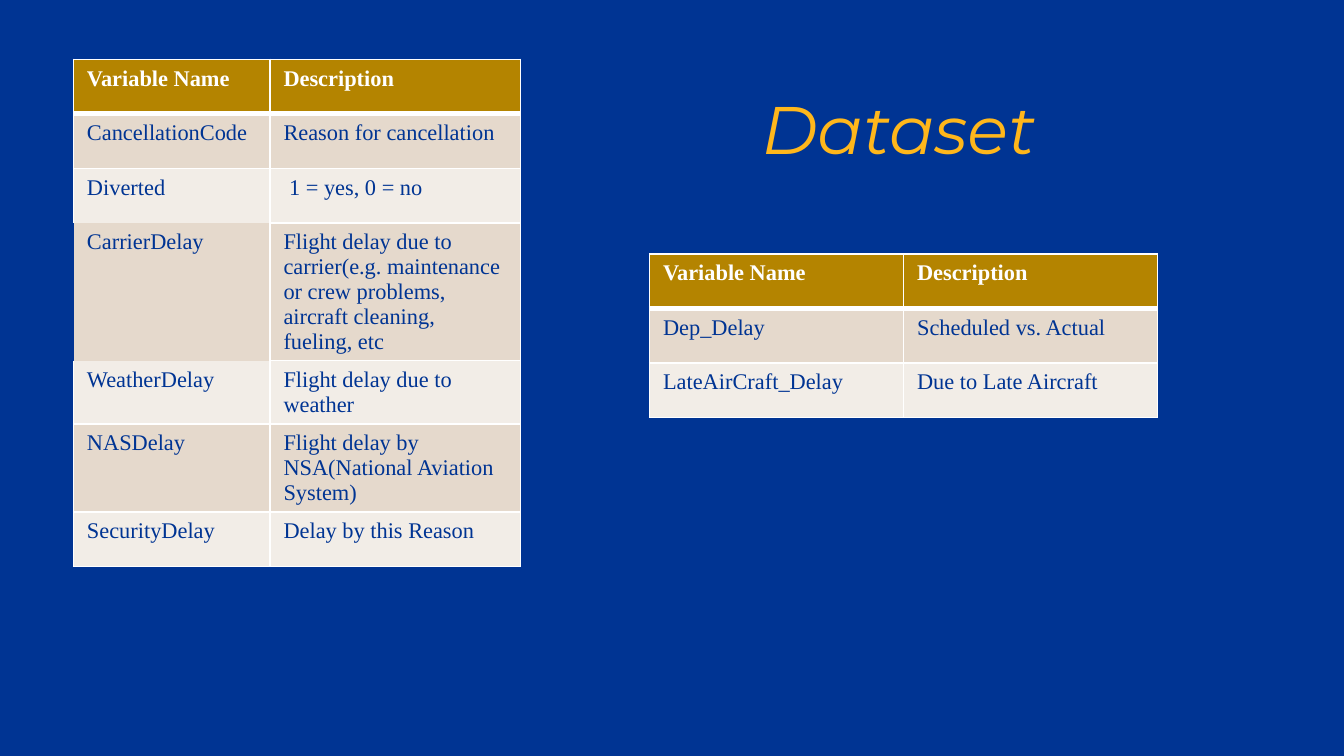
"""Build the dataset slide: a title and two tables of flight delay variables."""
from lxml import etree
from pptx import Presentation
from pptx.dml.color import RGBColor
from pptx.enum import text as t
from pptx.oxml import ns
from pptx.util import Pt

NAVY, GOLD, OCHRE, WHITE = "003493", "FFB71B", "B48400", "FFFFFF"
BANDS = ["F2EDE7", "E5D9CC"]
ROW_HEIGHT = 29.2


def write(frame, content, font="Times New Roman", size=12, color=NAVY, bold=False, italic=False):
    paragraph = frame.paragraphs[0]
    paragraph.alignment = t.PP_ALIGN.LEFT
    run = paragraph.add_run()
    run.text = content
    run.font.name, run.font.size = font, Pt(size)
    run.font.bold, run.font.italic = bold, italic
    run.font.color.rgb = RGBColor.from_string(color)
    return paragraph


def border(cell, widths):
    properties = cell._tc.get_or_add_tcPr()
    for side, width in zip("LRTB", widths):
        line = etree.SubElement(properties, ns.qn(f"a:ln{side}"), w=str(Pt(width)))
        if width:
            fill = etree.SubElement(line, ns.qn("a:solidFill"))
            etree.SubElement(fill, ns.qn("a:srgbClr"), val=WHITE)
        else:
            etree.SubElement(line, ns.qn("a:noFill"))


deck = Presentation()
deck.slide_width, deck.slide_height = Pt(720), Pt(405)
slide = deck.slides.add_slide(deck.slide_layouts[5])
slide.background.fill.solid()
slide.background.fill.fore_color.rgb = RGBColor.from_string(NAVY)

title = slide.shapes.title
title.left, title.top, title.width, title.height = Pt(401), Pt(52.6), Pt(236.2), Pt(41.8)
title.text_frame.vertical_anchor = t.MSO_ANCHOR.BOTTOM
title.text_frame.auto_size = t.MSO_AUTO_SIZE.NONE
heading = write(title.text_frame, "Dataset", font="Montserrat", size=36, color=GOLD, italic=True)
heading.line_spacing = 0.9

header = ("Variable Name", "Description")
delay_causes = [
    header,
    ("CancellationCode", "Reason for cancellation"),
    ("Diverted", " 1 = yes, 0 = no"),
    ("CarrierDelay", "Flight delay due to carrier(e.g. maintenance or crew problems, "
                     "aircraft cleaning, fueling, etc"),
    ("WeatherDelay", "Flight delay due to weather"),
    ("NASDelay", "Flight delay by NSA(National Aviation System)"),
    ("SecurityDelay", "Delay by this Reason"),
]
late_flights = [
    header,
    ("Dep_Delay", "Scheduled vs. Actual"),
    ("LateAirCraft_Delay", "Due to Late Aircraft"),
]
open_borders = {
    "Diverted": (1, 1, 1, 0),
    "CarrierDelay": (0, 0, 0, 0),
    "WeatherDelay": (1, 1, 0, 1),
}

for variables, left, top, widths in [
    (delay_causes, 39.4, 31.8, (105.3, 134.2)),
    (late_flights, 348, 136.1, (136.1, 136.1)),
]:
    grid = slide.shapes.add_table(
        len(variables), len(widths), Pt(left), Pt(top),
        Pt(sum(widths)), Pt(ROW_HEIGHT * len(variables))).table
    for column, width in zip(grid.columns, widths):
        column.width = Pt(width)
    for row, entries in enumerate(variables):
        grid.rows[row].height = Pt(ROW_HEIGHT)
        for col, entry in enumerate(entries):
            cell = grid.cell(row, col)
            is_header = row == 0
            sides = (1, 1, 3 if row == 1 else 1, 3 if is_header else 1)
            border(cell, open_borders.get(entry, sides))
            cell.fill.solid()
            cell.fill.fore_color.rgb = RGBColor.from_string(OCHRE if is_header else BANDS[row % 2])
            write(cell.text_frame, entry, color=WHITE if is_header else NAVY, bold=is_header)

deck.save("out.pptx")
